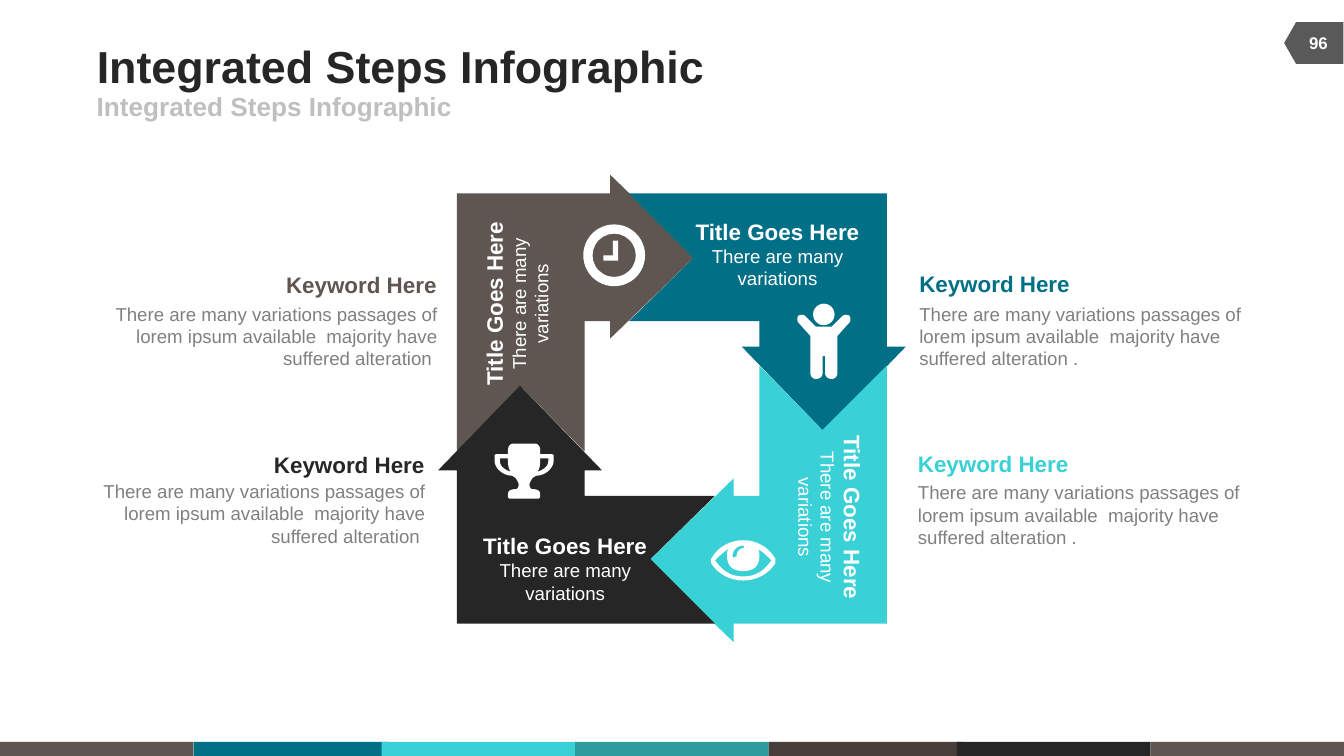
from dataclasses import dataclass

from pptx import Presentation
from pptx.dml.color import RGBColor
from pptx.enum.shapes import MSO_SHAPE
from pptx.enum.text import MSO_ANCHOR, PP_ALIGN
from pptx.util import Inches, Pt

RECTANGLE = MSO_SHAPE.RECTANGLE
OVAL = MSO_SHAPE.OVAL
DONUT = MSO_SHAPE.DONUT
BADGE = MSO_SHAPE.FLOWCHART_OFFPAGE_CONNECTOR
LEFT, CENTER, RIGHT = PP_ALIGN.LEFT, PP_ALIGN.CENTER, PP_ALIGN.RIGHT
TOP, MIDDLE = MSO_ANCHOR.TOP, MSO_ANCHOR.MIDDLE


@dataclass(frozen=True)
class Theme:
    """Colours, font and type sizes of the slide."""
    brown: str = "5F5551"
    blue: str = "016F86"
    cyan: str = "39D0D6"
    teal: str = "2D9C9C"
    umber: str = "473F3C"
    dark: str = "262626"
    badge: str = "595959"
    subtitle: str = "BFBFBF"
    body: str = "808080"
    white: str = "FFFFFF"
    font: str = "Arial"
    title_size: int = 24
    subtitle_size: int = 14
    heading_size: int = 12
    body_size: int = 10
    number_size: int = 9


THEME = Theme()
SLIDE_WIDTH = 10
SLIDE_HEIGHT = SLIDE_WIDTH * 9 / 16
RING_CENTER = (5, 3.04)
ARROW = [(-1.6, 0.32), (-1.6, -1.6), (-0.46, -1.6), (-0.46, -1.74), (0.17, -1.13),
         (-0.46, -0.52), (-0.46, -0.65), (-0.65, -0.65), (-0.65, 0.32), (-1.12, -0.16)]

CLOCK_HANDS = [(0, 0.11), (0.07, 0.11), (0.07, 0), (0.11, 0), (0.11, 0.15), (0, 0.15)]
PERSON_HALF = [
    (0, 0.17), (0.06, 0.17), (0.14, 0.09), (0.15, 0.08, 0.18, 0.08, 0.19, 0.09),
    (0.2, 0.1, 0.2, 0.13, 0.19, 0.14), (0.1, 0.24), (0.1, 0.52),
    (0.1, 0.54, 0.08, 0.56, 0.06, 0.56), (0.03, 0.56, 0.01, 0.54, 0.01, 0.52),
    (0.01, 0.39), (0, 0.39)]
CUP_HALF = [
    (0, 0), (0.08, 0), (0.1, 0, 0.12, 0.02, 0.12, 0.05), (0.12, 0.08), (0.19, 0.08),
    (0.22, 0.08, 0.22, 0.08, 0.22, 0.1), (0.22, 0.13),
    (0.22, 0.18, 0.16, 0.24, 0.09, 0.24), (0.07, 0.25, 0.06, 0.26, 0.06, 0.26),
    (0.05, 0.28, 0.04, 0.29, 0.04, 0.31), (0.04, 0.32, 0.05, 0.34, 0.06, 0.34),
    (0.1, 0.34, 0.12, 0.35, 0.12, 0.38), (0.12, 0.4), (0.11, 0.41), (0, 0.41)]
CUP_HANDLE = [(0.18, 0.11), (0.12, 0.11), (0.12, 0.15, 0.12, 0.18, 0.1, 0.21),
              (0.16, 0.19, 0.18, 0.16, 0.18, 0.13)]
EYE_HALF = [(0, 0), (0.1, 0, 0.19, 0.05, 0.24, 0.14), (0.24, 0.15), (0.24, 0.17),
            (0.19, 0.25, 0.1, 0.3, 0, 0.3)]
EYE_WHITE_HALF = [(0, 0.23), (0.08, 0.23, 0.12, 0.19, 0.12, 0.12),
                  (0.12, 0.09, 0.12, 0.07, 0.1, 0.06),
                  (0.14, 0.08, 0.18, 0.12, 0.21, 0.15), (0.16, 0.22, 0.1, 0.27, 0, 0.27)]
EYE_GLINT = [(0, 0.04), (-0.04, 0.04, -0.08, 0.07, -0.08, 0.12), (-0.07, 0.13),
             (-0.05, 0.12), (-0.05, 0.09, -0.03, 0.06, 0, 0.06), (0.01, 0.05)]


def rgb(color):
    """Turn a hex string into a colour."""
    return RGBColor.from_string(color)


def paint(shape, color):
    """Give a shape a plain fill without line or shadow."""
    shape.shadow.inherit = False
    shape.fill.solid()
    shape.fill.fore_color.rgb = rgb(color)
    shape.line.fill.background()


def add_preset(slide, preset, box, color):
    """Add a filled preset shape."""
    shape = slide.shapes.add_shape(preset, *map(Inches, box))
    paint(shape, color)
    return shape


def add_outline(slide, origin, contours, color):
    """Add one filled freeform made of closed contours around an origin."""
    placed = [[(Inches(origin[0] + x), Inches(origin[1] + y)) for x, y in contour]
              for contour in contours]
    builder = slide.shapes.build_freeform(*placed[0][0])
    for index, contour in enumerate(placed):
        if index:
            builder.move_to(*contour[0])
        builder.add_line_segments(contour[1:], close=True)
    paint(builder.convert_to_shape(), color)


def flatten(segments, steps=8):
    """Turn points and cubic curve segments into a list of points."""
    points = []
    for segment in segments:
        if len(segment) == 2:
            points.append(segment)
            continue
        controls = [points[-1], segment[:2], segment[2:4], segment[4:]]
        for step in range(1, steps + 1):
            t = step / steps
            weights = ((1 - t) ** 3, 3 * t * (1 - t) ** 2, 3 * t ** 2 * (1 - t), t ** 3)
            points.append(tuple(sum(w * c[axis] for w, c in zip(weights, controls))
                                for axis in (0, 1)))
    return points


def reflect(points):
    """Reflect points across the vertical axis."""
    return [(-x, y) for x, y in reversed(points)]


def mirror(segments):
    """Complete a half outline with its reflection."""
    half = flatten(segments)
    return half + reflect(half)


def style_font(font, size, color, bold=False):
    """Set the typeface, size, colour and weight of a font."""
    font.name, font.size, font.bold = THEME.font, Pt(size), bold
    font.color.rgb = rgb(color)


def prepare_frame(frame, anchor=TOP, wrap=True):
    """Remove the insets of a text frame and return its first paragraph."""
    frame.margin_left = frame.margin_right = frame.margin_top = frame.margin_bottom = 0
    frame.word_wrap, frame.vertical_anchor = wrap, anchor
    return frame.paragraphs[0]


def add_text(slide, box, text, size, color, bold=False, align=LEFT, anchor=TOP, wrap=True):
    """Add a text box with one evenly formatted paragraph."""
    frame = slide.shapes.add_textbox(*map(Inches, box)).text_frame
    paragraph = prepare_frame(frame, anchor, wrap)
    paragraph.text, paragraph.alignment = text, align
    style_font(paragraph.font, size, color, bold)


def add_step_label(slide, left, top, rotation):
    """Add the heading and caption that sit on one arrow."""
    label = slide.shapes.add_textbox(Inches(left), Inches(top), Inches(1.45), Inches(0.54))
    label.rotation = rotation
    paragraph = prepare_frame(label.text_frame)
    paragraph.alignment = CENTER
    heading = paragraph.add_run()
    heading.text = "Title Goes Here"
    style_font(heading.font, THEME.heading_size, THEME.white, True)
    paragraph.add_line_break()
    caption = paragraph.add_run()
    caption.text = "There are many variations"
    style_font(caption.font, THEME.body_size, THEME.white)


def add_keyword(slide, left, top, body_top, color, align):
    """Add a coloured keyword with its description beside the ring."""
    width, keyword_width = 2.49, 1.13
    keyword_left = left + width - keyword_width if align == RIGHT else left
    ending = "" if align == RIGHT else "."
    add_text(slide, (left, body_top, width, 0.5),
             "There are many variations passages of lorem ipsum available  majority have "
             "suffered alteration " + ending, THEME.body_size, THEME.body, align=align)
    add_text(slide, (keyword_left, top, keyword_width, 0.2), "Keyword Here",
             THEME.heading_size, color, True, align, wrap=False)


def add_header(slide):
    """Add the title, subtitle and page badge."""
    title = slide.shapes.title
    title.left, title.top, title.width, title.height = map(Inches, (0.72, 0.29, 6.17, 0.39))
    paragraph = prepare_frame(title.text_frame, MIDDLE)
    paragraph.text, paragraph.alignment = "Integrated Steps Infographic", LEFT
    style_font(paragraph.font, THEME.title_size, THEME.dark, True)
    add_text(slide, (0.72, 0.68, 4.5, 0.22), "Integrated Steps Infographic",
             THEME.subtitle_size, THEME.subtitle, True, anchor=MIDDLE)
    add_preset(slide, BADGE, (9.62, 0.1, 0.31, 0.44), THEME.badge).rotation = 90
    add_text(slide, (9.6, 0.17, 0.42, 0.3), "96", THEME.number_size, THEME.white, True,
             CENTER, MIDDLE)


def add_footer_bar(slide):
    """Add the row of colour bands along the bottom."""
    bands = ((0, THEME.brown), (1.44, THEME.blue), (2.84, THEME.cyan), (4.28, THEME.teal),
             (5.72, THEME.umber), (7.12, THEME.dark), (8.56, THEME.brown))
    top = 5.52
    for left, color in bands:
        add_preset(slide, RECTANGLE, (left, top, 1.44, SLIDE_HEIGHT - top), color)


def add_ring(slide):
    """Add four interlocking arrows, each a quarter turn from the last."""
    arrow = ARROW
    for color in (THEME.brown, THEME.blue, THEME.cyan, THEME.dark):
        add_outline(slide, RING_CENTER, [arrow], color)
        arrow = [(-y, x) for x, y in arrow]


def add_icons(slide):
    """Add the clock, person, eye and trophy icons."""
    add_preset(slide, DONUT, (4.34, 1.67, 0.46, 0.46), THEME.white).adjustments[0] = 0.15
    add_outline(slide, (4.49, 1.79), [CLOCK_HANDS], THEME.white)
    add_preset(slide, OVAL, (6.05, 2.26, 0.16, 0.16), THEME.white)
    add_outline(slide, (6.13, 2.26), [mirror(PERSON_HALF)], THEME.white)
    add_outline(slide, (5.53, 4.02),
                [mirror(EYE_HALF), mirror(EYE_WHITE_HALF), flatten(EYE_GLINT)], THEME.white)
    handle = flatten(CUP_HANDLE)
    add_outline(slide, (3.9, 3.3), [mirror(CUP_HALF), handle, reflect(handle)], THEME.white)


def main():
    """Build and save the slide."""
    presentation = Presentation()
    presentation.slide_width, presentation.slide_height = Inches(SLIDE_WIDTH), Inches(SLIDE_HEIGHT)
    slide = presentation.slides.add_slide(presentation.slide_layouts[5])
    add_footer_bar(slide)
    add_header(slide)
    add_ring(slide)
    add_icons(slide)
    for label in ((3.12, 1.99, 270), (5.06, 1.62, 0), (3.48, 3.96, 0), (5.45, 3.58, 90)):
        add_step_label(slide, *label)
    for keyword in ((6.84, 2.01, 2.25, THEME.blue, LEFT), (0.76, 2.02, 2.25, THEME.brown, RIGHT),
                    (0.67, 3.36, 3.57, THEME.dark, RIGHT), (6.83, 3.35, 3.58, THEME.cyan, LEFT)):
        add_keyword(slide, *keyword)
    presentation.save("out.pptx")


if __name__ == "__main__":
    main()
